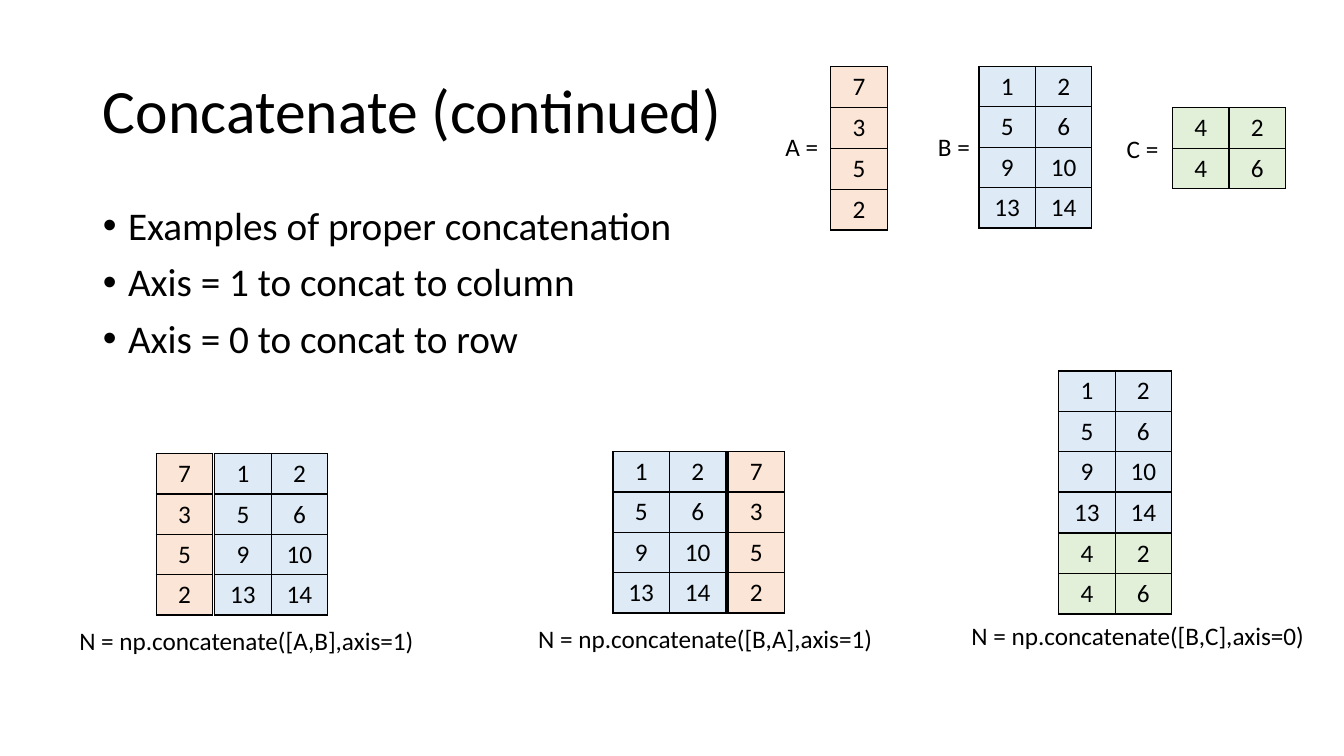
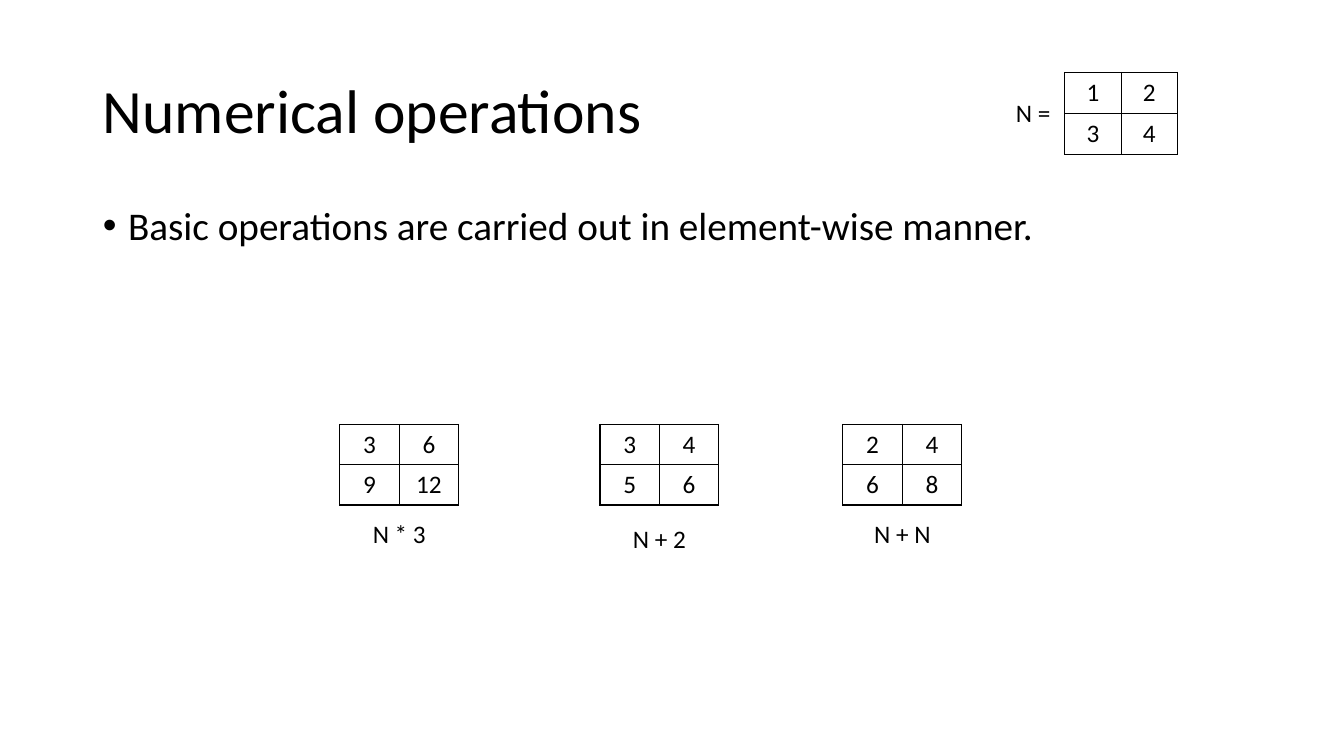
from dataclasses import dataclass

from lxml import etree
from pptx import Presentation
from pptx.dml.color import RGBColor
from pptx.enum.text import MSO_ANCHOR, MSO_AUTO_SIZE, PP_ALIGN
from pptx.oxml.ns import qn
from pptx.util import Inches, Pt

LEFT, CENTER = PP_ALIGN.LEFT, PP_ALIGN.CENTER
TOP, MIDDLE = MSO_ANCHOR.TOP, MSO_ANCHOR.MIDDLE
NO_FIT, GROW = MSO_AUTO_SIZE.NONE, MSO_AUTO_SIZE.SHAPE_TO_FIT_TEXT


@dataclass(frozen=True)
class Theme:
    font: str = "Calibri"
    ink: str = "000000"
    peach: str = "FBE5D6"
    blue: str = "DEEBF7"
    green: str = "E2F0D9"
    title_size: int = 44
    body_size: int = 28
    label_size: int = 18
    border: int = 1
    row_h: float = 0.4
    cell_w: float = 0.56
    result_w: float = 0.59


@dataclass(frozen=True)
class Matrix:
    rows: list
    fill: str = None


THEME = Theme()
A = Matrix([[7], [3], [5], [2]], THEME.peach)
B = Matrix([[1, 2], [5, 6], [9, 10], [13, 14]], THEME.blue)
C = Matrix([[4, 2], [4, 6]], THEME.green)
N = Matrix([[1, 2], [3, 4]])


def write(p, text, size=THEME.label_size, align=CENTER, spacing=None, before=None):
    r = p.add_run()
    r.text = text
    r.font.name = THEME.font
    r.font.size = Pt(size)
    r.font.color.rgb = RGBColor.from_string(THEME.ink)
    p.alignment = align
    if spacing:
        p.line_spacing = spacing
    if before is not None:
        p.space_before = Pt(before)


def place(sp, x, y, w, h):
    sp.left, sp.top, sp.width, sp.height = map(Inches, (x, y, w, h))


def set_bullet(p):
    pPr = p._p.get_or_add_pPr()
    pPr.set("marL", str(Inches(0.25)))
    pPr.set("indent", str(Inches(-0.25)))
    etree.SubElement(pPr, qn("a:buFont"), typeface="Arial")
    etree.SubElement(pPr, qn("a:buChar"), char="•")


def add_slide(prs, title, bullets, body_w, body_h):
    s = prs.slides.add_slide(prs.slide_layouts[1])
    heading, body = s.shapes.title, s.placeholders[1]
    place(heading, 0.92, 0.4, 11.5, 1.45)
    place(body, 0.92, 2, body_w, body_h)
    for sp, anchor in ((heading, MIDDLE), (body, TOP)):
        sp.text_frame.auto_size = NO_FIT
        sp.text_frame.vertical_anchor = anchor
    write(heading.text_frame.paragraphs[0], title, size=THEME.title_size,
          align=LEFT, spacing=0.9, before=0)
    tf = body.text_frame
    for i, text in enumerate(bullets):
        p = tf.add_paragraph() if i else tf.paragraphs[0]
        write(p, text, size=THEME.body_size, align=LEFT, spacing=0.9, before=10)
        set_bullet(p)
    return s


def add_label(s, text, x, y, w):
    tf = s.shapes.add_textbox(*map(Inches, (x, y, w, 0.4))).text_frame
    tf.word_wrap = False
    tf.auto_size = GROW
    write(tf.paragraphs[0], text)


def set_borders(cell):
    tcPr = cell._tc.get_or_add_tcPr()
    for side in ("L", "R", "T", "B"):
        ln = etree.SubElement(tcPr, qn("a:ln" + side), w=str(Pt(THEME.border)))
        fill = etree.SubElement(ln, qn("a:solidFill"))
        etree.SubElement(fill, qn("a:srgbClr"), val=THEME.ink)


def add_matrix(s, matrix, x, y, cell_w=THEME.cell_w, anchor=TOP):
    n_rows, n_cols = len(matrix.rows), len(matrix.rows[0])
    size = (n_cols * cell_w, n_rows * THEME.row_h)
    table = s.shapes.add_table(n_rows, n_cols, *map(Inches, (x, y, *size))).table
    table.first_row = table.horz_banding = False
    for i, values in enumerate(matrix.rows):
        for j, value in enumerate(values):
            cell = table.cell(i, j)
            set_borders(cell)
            if matrix.fill:
                cell.fill.solid()
                cell.fill.fore_color.rgb = RGBColor.from_string(matrix.fill)
            else:
                cell.fill.background()
            cell.vertical_anchor = anchor
            write(cell.text_frame.paragraphs[0], str(value))
    return size


def add_joined(s, matrices, x, y, axis):
    for matrix in matrices:
        w, h = add_matrix(s, matrix, x, y)
        if axis == 1:
            x += w + 0.02
        else:
            y += h + 0.01


def concatenate_slide(prs):
    s = add_slide(prs, "Concatenate (continued)",
                  ["Examples of proper concatenation",
                   "Axis = 1 to concat to column",
                   "Axis = 0 to concat to row"], 6.86, 2.66)
    for name, matrix, x, y, label_x, label_y in (
            ("A", A, 8.24, 0.66, 7.69, 1.25),
            ("B", B, 9.71, 0.66, 9.2, 1.25),
            ("C", C, 11.63, 1.07, 11.07, 1.27)):
        add_matrix(s, matrix, x, y)
        add_label(s, f"{name} = ", label_x, label_y, 0.58)
    for names, matrices, axis, x, y, label_x, label_y in (
            ("A,B", (A, B), 1, 1.55, 4.5, 0.68, 6.15),
            ("B,A", (B, A), 1, 6.08, 4.48, 5.23, 6.13),
            ("B,C", (B, C), 0, 10.5, 3.68, 9.52, 6.11)):
        add_joined(s, matrices, x, y, axis)
        add_label(s, f"N = np.concatenate([{names}],axis={axis})",
                  label_x, label_y, 3.53)


def operations_slide(prs):
    s = add_slide(prs, "Numerical operations",
                  ["Basic operations are carried out in element-wise manner."],
                  10.88, 4.76)
    add_matrix(s, N, 10.56, 0.72)
    add_label(s, "N = ", 9.97, 0.92, 0.61)
    for text, operation, x, label_y in (
            ("N * 3", lambda v: v * 3, 3.37, 5.09),
            ("N + 2", lambda v: v + 2, 5.95, 5.14),
            ("N + N", lambda v: v + v, 8.36, 5.09)):
        result = Matrix([[operation(v) for v in row] for row in N.rows])
        w, _ = add_matrix(s, result, x, 4.21, cell_w=THEME.result_w, anchor=MIDDLE)
        add_label(s, text, x, label_y, w)


def main():
    prs = Presentation()
    prs.slide_width, prs.slide_height = Inches(13.33), Inches(7.5)
    concatenate_slide(prs)
    operations_slide(prs)
    prs.save("out.pptx")


main()
